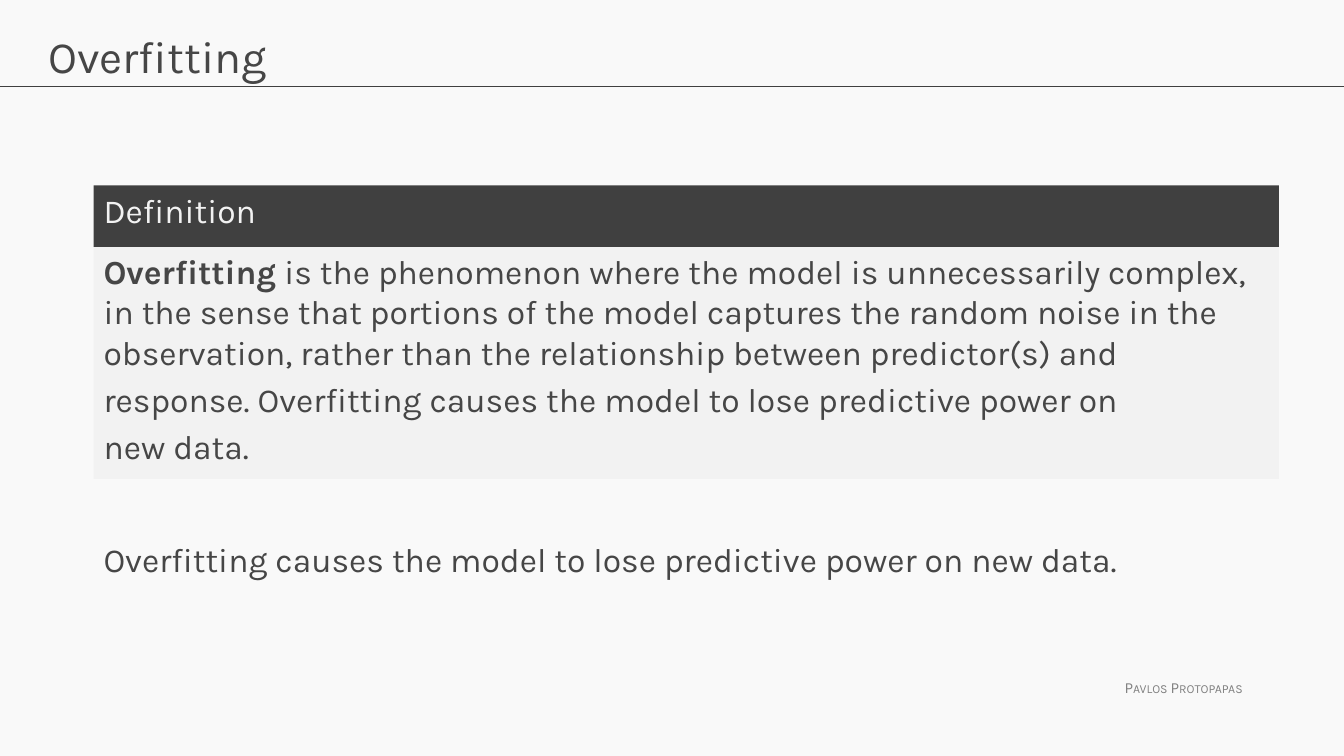
from dataclasses import dataclass

import pptx
import pptx.dml.color
import pptx.enum.shapes
import pptx.enum.text
import pptx.oxml
import pptx.oxml.ns
import pptx.presentation
import pptx.slide
import pptx.util

FONT = "Karla"
INK = "464646"
DARK = "404040"
PALE = "F2F2F2"
WIDE = 33.87
LEFT = 2.36
SPAN = 29.87


@dataclass
class Panel:
    left: float
    top: float
    width: float
    height: float
    lines: list[str]
    size: float = 24
    color: str = INK
    fill: str = ""
    lead: str = ""
    wrap: bool = True
    small: bool = False


PANELS = [
    Panel(28.09, 16.97, 3.58, 0.74, ["Pavlos Protopapas"], 11, "808080", wrap=False, small=True),
    Panel(0.97, 0.61, 31.93, 2.13, ["Overfitting"], 32),
    Panel(LEFT, 6.2, SPAN, 5.87, [
        " is the phenomenon where the model is unnecessarily complex, in the sense that "
        "portions of the model captures the random noise in the observation, rather than "
        "the relationship between predictor(s) and",
        "response. Overfitting causes the model to lose predictive power on",
        "new data.",
    ], fill=PALE, lead="Overfitting"),
    Panel(LEFT, 4.67, SPAN, 1.55, ["Definition"], color=PALE, fill=DARK),
    Panel(LEFT, 13.46, SPAN, 2.97, [
        "Overfitting causes the model to lose predictive power on new data.",
    ]),
]


def paint(code: str) -> pptx.dml.color.RGBColor:
    return pptx.dml.color.RGBColor.from_string(code)


def apply(target: object, style: dict[str, object]) -> None:
    for name, value in style.items():
        setattr(target, name, value)


def write(para: object, text: str, panel: Panel, bold: bool = False) -> None:
    run = para.add_run()
    run.text = text
    apply(run.font, {"name": FONT, "size": pptx.util.Pt(panel.size), "bold": bold})
    run.font.color.rgb = paint(panel.color)
    if panel.small:
        run.font._element.set("cap", "small")


def draw(slide: pptx.slide.Slide, panel: Panel) -> None:
    place = [pptx.util.Cm(n) for n in (panel.left, panel.top, panel.width, panel.height)]
    if panel.fill:
        shape = slide.shapes.add_shape(pptx.enum.shapes.MSO_SHAPE.RECTANGLE, *place)
        shape.shadow.inherit = False
        shape.fill.solid()
        shape.fill.fore_color.rgb = paint(panel.fill)
        shape.line.fill.background()
    else:
        shape = slide.shapes.add_textbox(*place)
    frame = shape.text_frame
    apply(frame, {"word_wrap": panel.wrap, "vertical_anchor": pptx.enum.text.MSO_ANCHOR.TOP})
    for index, line in enumerate(panel.lines):
        para = frame.add_paragraph() if index else frame.paragraphs[0]
        gap = 0.2 * panel.size if index else 0
        apply(para, {"alignment": pptx.enum.text.PP_ALIGN.LEFT, "space_before": pptx.util.Pt(gap)})
        if panel.lead and not index:
            write(para, panel.lead, panel, True)
        write(para, line, panel)


def rule(slide: pptx.slide.Slide, top: float) -> None:
    level = pptx.util.Cm(top)
    line = slide.shapes.add_connector(
        pptx.enum.shapes.MSO_CONNECTOR.STRAIGHT, 0, level, pptx.util.Cm(WIDE), level
    )
    line.line.color.rgb = paint(DARK)
    line.line.width = pptx.util.Pt(0.75)
    props = line._element.spPr
    props.append(pptx.oxml.parse_xml(f"<a:effectLst {pptx.oxml.ns.nsdecls('a')}/>"))


def main() -> None:
    deck = pptx.Presentation()
    apply(deck, {"slide_width": pptx.util.Cm(WIDE), "slide_height": pptx.util.Cm(19.05)})
    slide = deck.slides.add_slide(deck.slide_layouts[6])
    slide.background.fill.solid()
    slide.background.fill.fore_color.rgb = paint("F9F9F9")
    rule(slide, 2.18)
    for panel in PANELS:
        draw(slide, panel)
    deck.save("out.pptx")


if __name__ == "__main__":
    main()
